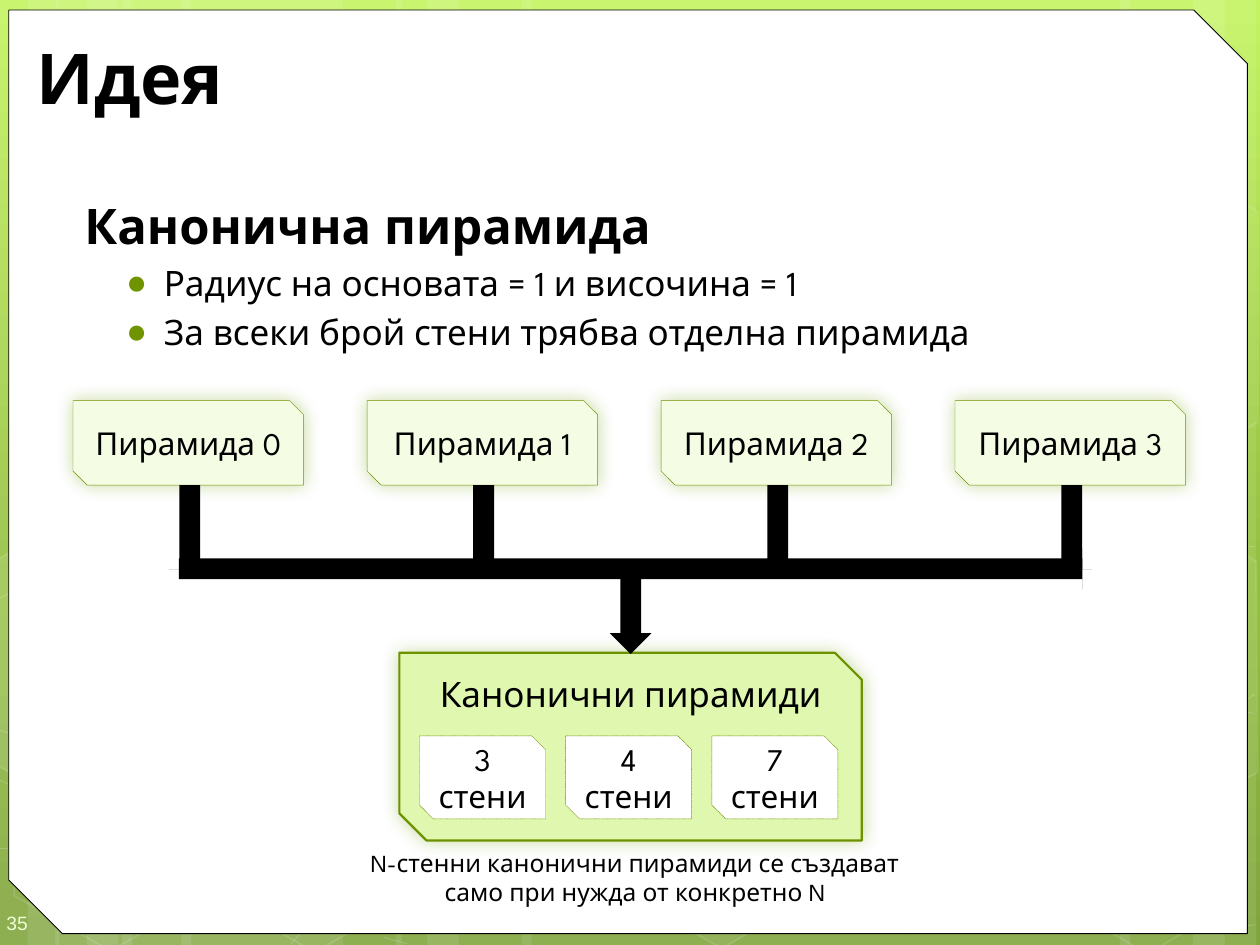
from copy import deepcopy
from dataclasses import dataclass

from lxml.etree import SubElement
from pptx import Presentation
from pptx.dml.color import RGBColor
from pptx.enum.dml import MSO_LINE
from pptx.enum.shapes import MSO_CONNECTOR, MSO_SHAPE
from pptx.enum.text import MSO_ANCHOR, MSO_AUTO_SIZE, PP_ALIGN
from pptx.oxml.ns import qn
from pptx.util import Inches, Pt


@dataclass(frozen=True)
class Theme:
    """Colours, fonts and type sizes."""
    font: str = "League Spartan"
    number_font: str = "Arial"
    ink: str = "000000"
    paper: str = "FFFFFF"
    outline: str = "6D9200"
    bullet: str = "6F9400"
    glow: str = "74A510"
    pale: str = "F4FCE4"
    light: str = "DFF7AE"
    number: str = "EEFFD6"
    backdrop: tuple = ((0, "C3F35F"), (0.62, "93BF3F"), (1, "81A53E"))
    title_size: int = 40
    heading_size: int = 28
    body_size: int = 20
    box_size: int = 18
    caption_size: int = 14
    number_size: int = 11


BANDS = [(0.97, 1.75), (-0.03, 0.5), (0.22, 0.83), (1.44, 1.75), (0.44, 0.5), (0.69, 0.83),
         (7.22, 1.75), (9.47, 0.5), (8.89, 0.83), (4.14, 3.08), (3.14, 0.5), (3.39, 0.83)]
EDGE_STROKES = [(-0.04, 6.73, 0.1, 6.74), (9.85, 5.58, 9.96, 5.51), (-0.04, 4.77, 0.1, 4.69),
                (9.85, 4.33, 9.96, 4.34), (-0.05, 6.17, 0.1, 6.24), (3.05, 7.44, 3.23, 7.49),
                (-0.04, 5.78, 0.1, 5.83), (9.85, 7.35, 9.96, 7.34), (2.31, 7.49, 2.39, 7.4),
                (9.85, 5.65, 9.95, 5.66)]
HEXAGONS = [(4.85, 5.89, 6), (0, 5.91, None), (1.62, 5.92, None), (8.23, 5.93, None)]
CUT_HEXAGONS = [
    ([(-0.03, 4.45), (0.08, 4.38), (0.85, 4.82), (0.84, 5.7), (0.09, 6.14), (-0.03, 6.07)], 10),
    ([(9.15, 4.85), (9.9, 4.41), (9.97, 4.46), (9.98, 6.13), (9.91, 6.17), (9.14, 5.73)], 4),
    ([(9.15, 2.07), (9.9, 1.63), (9.98, 1.68), (9.98, 3.35), (9.91, 3.39), (9.14, 2.95)], None)]


class Painter:
    """Draws styled elements on the current slide."""

    def __init__(self, slide, theme):
        self.slide, self.theme = slide, theme

    def backdrop(self):
        """Fill the background with the gradient."""
        fill = self.slide.background.fill
        fill.gradient()
        fill.gradient_angle = 270
        last = self.slide.element.findall(".//" + qn("a:gs"))[-1]
        last.addnext(deepcopy(last))
        for stop, (position, color) in zip(fill.gradient_stops, self.theme.backdrop):
            stop.position = position
            stop.color.rgb = RGBColor.from_string(color)

    def tint(self, fill, element, color, alpha):
        """Set a solid colour with an opacity in percent, or none."""
        if color is None:
            fill.background()
            return
        fill.solid()
        fill.fore_color.rgb = RGBColor.from_string(color)
        if alpha:
            value = element.find(qn("a:solidFill")).find(qn("a:srgbClr"))
            SubElement(value, qn("a:alpha"), val=str(alpha * 1000))

    def paint(self, shape, fill=None, line=None, weight=1, fill_alpha=None, line_alpha=None):
        """Set fill and line."""
        shape.shadow.inherit = False
        properties = shape.element.spPr
        self.tint(shape.fill, properties, fill, fill_alpha)
        shape.line.width = Pt(weight)
        self.tint(shape.line.fill, properties.find(qn("a:ln")), line, line_alpha)
        return shape

    def shape(self, kind, left, top, width, height, adjust=(), turn=0, **style):
        """Add a preset shape."""
        shape = self.slide.shapes.add_shape(kind, Inches(left), Inches(top), Inches(width), Inches(height))
        for index, value in enumerate(adjust):
            shape.adjustments[index] = value
        shape.rotation = turn
        return self.paint(shape, **style)

    def outline(self, points, **style):
        """Add a closed freeform through the points."""
        points = [(Inches(x), Inches(y)) for x, y in points]
        builder = self.slide.shapes.build_freeform(*points[0])
        builder.add_line_segments(points[1:], close=True)
        return self.paint(builder.convert_to_shape(), **style)

    def stroke(self, ends, color, alpha):
        """Add a thin line."""
        line = self.slide.shapes.add_connector(MSO_CONNECTOR.STRAIGHT, *map(Inches, ends))
        line.line.width = Pt(0.5)
        properties = line.element.spPr
        self.tint(line.line.fill, properties.find(qn("a:ln")), color, alpha)
        SubElement(properties, qn("a:effectLst"))

    def glow(self, shape):
        """Give the shape a soft green shadow."""
        effects = shape.element.spPr.find(qn("a:effectLst"))
        shadow = SubElement(effects, qn("a:outerShdw"), blurRad=str(Pt(10)), dist="0",
                            dir="2700000", algn="ctr", rotWithShape="0")
        color = SubElement(shadow, qn("a:srgbClr"), val=self.theme.glow)
        SubElement(color, qn("a:alpha"), val="40000")

    def style(self, para, size, color=None, font=None, bold=False, align=PP_ALIGN.LEFT):
        """Format every run of a paragraph."""
        para.alignment = align
        for span in para.runs:
            span.font.name = font or self.theme.font
            span.font.size = Pt(size)
            span.font.bold = bold
            span.font.color.rgb = RGBColor.from_string(color or self.theme.ink)

    def box(self, text, size, *place, anchor=MSO_ANCHOR.MIDDLE, **options):
        """Add a labelled box with two snipped corners."""
        shape = self.shape(MSO_SHAPE.SNIP_2_DIAG_RECTANGLE, *place, line=self.theme.outline, **options)
        frame = shape.text_frame
        frame.text = text
        frame.vertical_anchor = anchor
        frame.margin_left = frame.margin_right = 0
        for para in frame.paragraphs:
            self.style(para, size, align=PP_ALIGN.CENTER)
        return shape

    def arrow(self, left, top, width, turn=0, head=0):
        """Add a black bar, with a head when asked."""
        self.shape(MSO_SHAPE.RIGHT_ARROW, left, top, width, 0.33, (0.5, head), turn, fill=self.theme.ink)

    def text(self, text, place, size, **style):
        """Add a text box."""
        frame = self.slide.shapes.add_textbox(*map(Inches, place)).text_frame
        frame.word_wrap = True
        frame.text = text
        self.style(frame.paragraphs[0], size, **style)
        return frame

    def placeholder(self, holder, text, place, anchor):
        """Move a placeholder to the front and fill it."""
        holder.left, holder.top, holder.width, holder.height = map(Inches, place)
        holder.element.getparent().append(holder.element)
        frame = holder.text_frame
        frame.text = text
        frame.auto_size = MSO_AUTO_SIZE.NONE
        frame.vertical_anchor = anchor
        return frame.paragraphs

    def indent(self, para, left, first=0, bullet=None):
        """Set the indents and the bullet."""
        properties = para._p.get_or_add_pPr()
        properties.set("marL", str(Inches(left)))
        properties.set("indent", str(Inches(first)))
        if bullet:
            color = SubElement(properties, qn("a:buClr"))
            SubElement(color, qn("a:srgbClr"), val=self.theme.bullet)
            SubElement(properties, qn("a:buChar"), char=bullet)
        else:
            SubElement(properties, qn("a:buNone"))


def draw_backdrop(painter):
    """Draw the green pattern and the white panel."""
    white = painter.theme.paper
    painter.backdrop()
    for left, width in BANDS:
        painter.shape(MSO_SHAPE.RECTANGLE, left, 0, width, 7.5, fill=white, fill_alpha=10)
    for ends in EDGE_STROKES:
        painter.stroke(ends, white, 20)
    for left, top, alpha in HEXAGONS:
        painter.shape(MSO_SHAPE.HEXAGON, left, top, 1.75, 1.52, (0.285,), 30,
                      fill=white if alpha else None, fill_alpha=alpha, line=white, line_alpha=12)
    for points, alpha in CUT_HEXAGONS:
        painter.outline(points, fill=white if alpha else None, fill_alpha=alpha, line=white, line_alpha=12)
    painter.shape(MSO_SHAPE.SNIP_2_DIAG_RECTANGLE, 0.07, 0.08, 9.83, 7.33, (0, 0.058),
                  fill=white, line=painter.theme.ink, weight=0.5)


def draw_text(painter):
    """Write the page number, title and list."""
    theme, slide = painter.theme, painter.slide
    number = painter.text("35", (0, 7.1, 0.58, 0.4), theme.number_size, color=theme.number, font=theme.number_font)
    number.vertical_anchor = MSO_ANCHOR.MIDDLE
    number.margin_left, number.margin_right = Inches(0.05), 0
    number.margin_top, number.margin_bottom = Inches(0.15), Inches(0.1)
    title = painter.placeholder(slide.shapes.title, "Идея", (0.19, 0.25, 9.47, 0.71), MSO_ANCHOR.MIDDLE)
    painter.style(title[0], theme.title_size, bold=True)
    heading, *items = painter.placeholder(
        slide.placeholders[1], "Канонична пирамида\nРадиус на основата = 1 и височина = 1\n"
        "За всеки брой стени трябва отделна пирамида", (0.5, 1.5, 9.42, 5.92), MSO_ANCHOR.TOP)
    painter.indent(heading, 0.07)
    heading.space_before = Pt(0)
    painter.style(heading, theme.heading_size, bold=True)
    for item in items:
        item.level = 1
        painter.indent(item, 0.7, -0.3, "●")
        painter.style(item, theme.body_size)


def draw_diagram(painter):
    """Draw the pyramids leading to the canonical ones."""
    theme = painter.theme
    painter.glow(painter.box("Канонични пирамиди", theme.body_size, 3.17, 5.18, 3.67, 1.49, anchor=MSO_ANCHOR.TOP,
                             adjust=(0, 0.144), fill=theme.light, weight=1.25))
    painter.arrow(4.67, 4.69, 0.67, 90, 0.5)
    for index in range(4):
        left = 0.58 + index * 7 / 3
        painter.glow(painter.box(f"Пирамида {index}", theme.box_size, left, 3.18, 1.83, 0.67,
                                 fill=theme.pale, weight=0.25))
        painter.arrow(left + 0.59, 4.02, 0.67, 90)
    painter.arrow(1.42, 4.35, 7.17)
    for index, sides in enumerate((3, 4, 7)):
        variant = painter.box(f"{sides}\nстени", theme.box_size, 3.33 + index * 1.16, 5.84, 1, 0.66,
                              fill=theme.paper, weight=0.25)
        variant.line.dash_style = MSO_LINE.SQUARE_DOT
    caption = painter.text("N-стенни канонични пирамиди се създават\vсамо при нужда от конкретно N",
                           (2.67, 6.68, 4.67, 0.57), theme.caption_size, align=PP_ALIGN.CENTER)
    painter.indent(caption.paragraphs[0], 0.07)


def main():
    """Build and save the deck."""
    deck = Presentation()
    deck.slide_width, deck.slide_height = Inches(10), Inches(7.5)
    painter = Painter(deck.slides.add_slide(deck.slide_layouts[1]), Theme())
    for draw in (draw_backdrop, draw_text, draw_diagram):
        draw(painter)
    deck.save("out.pptx")


if __name__ == "__main__":
    main()
